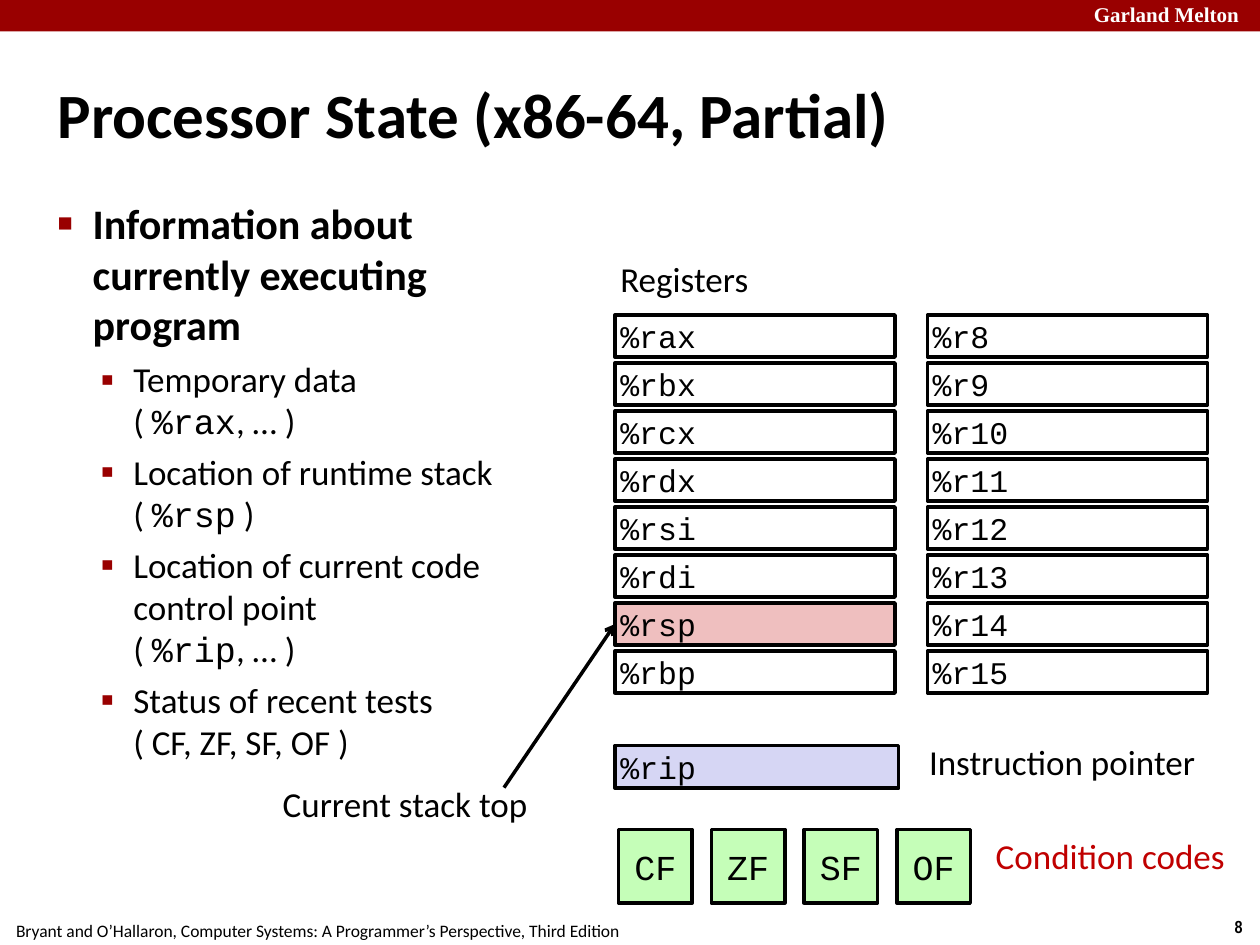
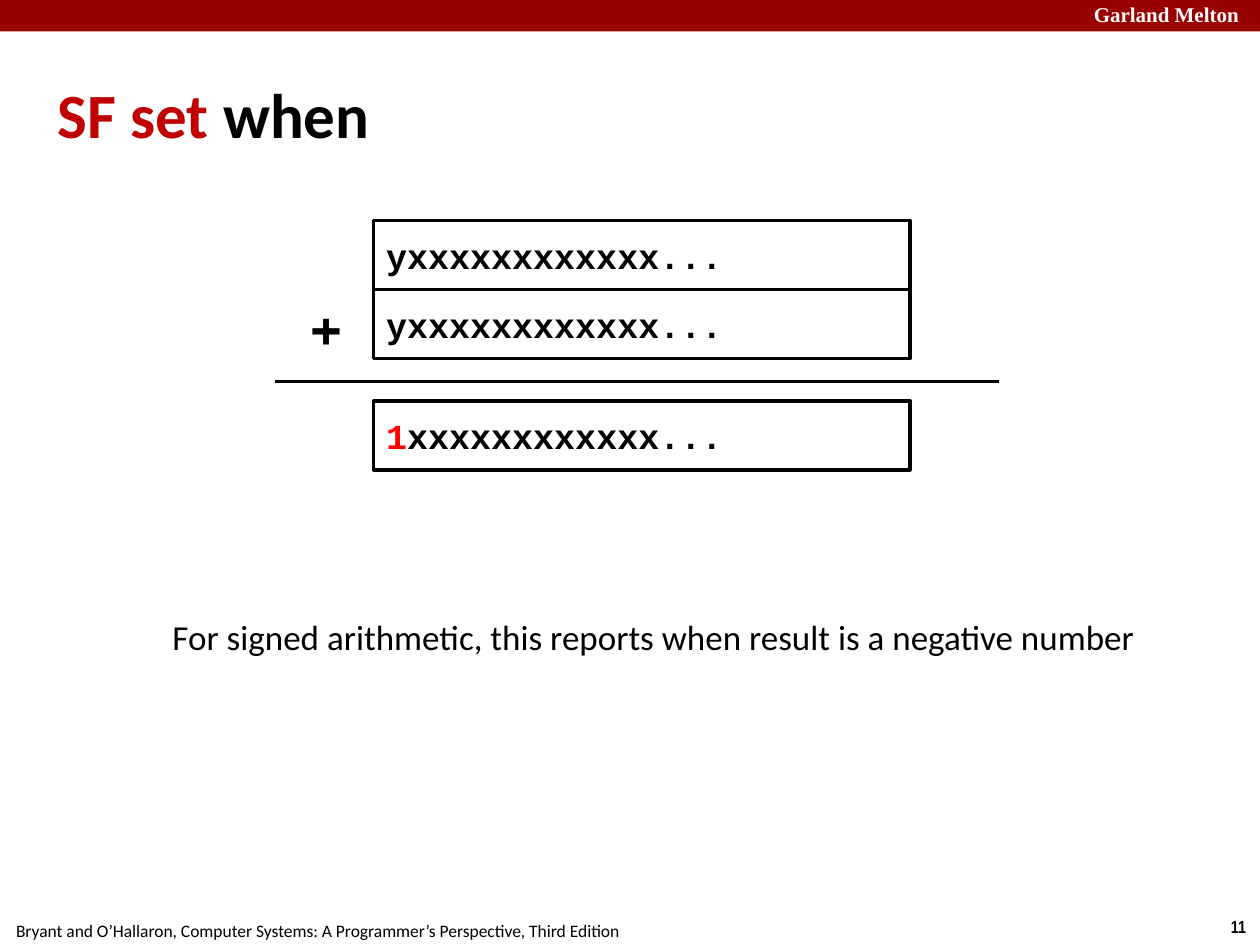
from lxml import etree
from pptx import Presentation
from pptx.dml.color import RGBColor
from pptx.enum.shapes import MSO_CONNECTOR, MSO_SHAPE
from pptx.enum.text import MSO_ANCHOR, PP_ALIGN
from pptx.oxml.ns import qn
from pptx.util import Pt

LEFT, CENTER = PP_ALIGN.LEFT, PP_ALIGN.CENTER
TOP, MIDDLE = MSO_ANCHOR.TOP, MSO_ANCHOR.MIDDLE
RECT, STRAIGHT = MSO_SHAPE.RECTANGLE, MSO_CONNECTOR.STRAIGHT

BLACK, WHITE, BRAND = "000000", "FFFFFF", "990000"
ACCENT, RED = "C00000", "FF0000"
PINK, LILAC, GREEN = "EFBFBF", "D6D6F4", "C5FEB8"
SANS, MONO, SERIF, NARROW = "Calibri", "Courier New", "Times New Roman", "Arial Narrow"
SNUG, ROOMY = (3, 3), (7.2, 3.6)
CREDIT = "Bryant and O’Hallaron, Computer Systems: A Programmer’s Perspective, Third Edition"


def rgb(color):
    return RGBColor.from_string(color)


def style(para, size, font=SANS, color=BLACK, bold=False, align=LEFT):
    para.alignment = align
    face = para.font
    face.size, face.name, face.bold = Pt(size), font, bold
    face.color.rgb = rgb(color)


def setup(frame, pad=SNUG, anchor=TOP, wrap=True):
    frame.margin_left = frame.margin_right = Pt(pad[0])
    frame.margin_top = frame.margin_bottom = Pt(pad[1])
    frame.vertical_anchor, frame.word_wrap = anchor, wrap


def tint(para, parts):
    for text, color in parts:
        run = para.add_run()
        run.text = text
        run.font.color.rgb = rgb(color)


def label(slide, box, text, size=20, pad=SNUG, wrap=False, **look):
    frame = slide.shapes.add_textbox(*map(Pt, box)).text_frame
    setup(frame, pad, wrap=wrap)
    frame.text = text
    style(frame.paragraphs[0], size, **look)


def block(slide, box, fill=None, line=BLACK):
    shape = slide.shapes.add_shape(RECT, *map(Pt, box))
    shape.shadow.inherit = False
    if fill:
        shape.fill.solid()
        shape.fill.fore_color.rgb = rgb(fill)
    else:
        shape.fill.background()
    if line:
        shape.line.color.rgb = rgb(line)
        shape.line.width = Pt(2)
    else:
        shape.line.fill.background()
    return shape


def cell(slide, box, parts, size=18, fill=None, pad=SNUG, **look):
    frame = block(slide, box, fill).text_frame
    setup(frame, pad, MIDDLE)
    para = frame.paragraphs[0]
    style(para, size, MONO, **look)
    tint(para, parts)


def link(slide, start, end, arrow=False):
    line = slide.shapes.add_connector(STRAIGHT, *map(Pt, start + end))
    line.line.color.rgb = rgb(BLACK)
    line.line.width = Pt(2)
    if arrow:
        etree.SubElement(line.line._get_or_add_ln(), qn("a:tailEnd"), type="arrow")
    etree.SubElement(line._element.spPr, qn("a:effectLst"))


def bullet(para, mark, scale, left, hang):
    props = para._p.get_or_add_pPr()
    props.set("marL", str(Pt(left)))
    props.set("indent", str(Pt(-hang)))
    color = etree.SubElement(props, qn("a:buClr"))
    etree.SubElement(color, qn("a:srgbClr"), val=BRAND)
    etree.SubElement(props, qn("a:buSzPct"), val=str(scale * 1000))
    etree.SubElement(props, qn("a:buFont"), typeface="Arial")
    etree.SubElement(props, qn("a:buChar"), char=mark)


def base(deck, number, title):
    slide = deck.slides.add_slide(deck.slide_layouts[5])
    block(slide, (0, 0, 720, 18), BRAND, None)
    label(slide, (622, -2, 104, 20), "Garland Melton", 12, wrap=True,
          font=SERIF, color=WHITE, bold=True)
    label(slide, (-1.5, 522, 366, 19), CREDIT, 10, ROOMY, align=CENTER)
    label(slide, (695.5, 520, 24.5, 19), number, 10, ROOMY,
          font=NARROW, bold=True, align=CENTER)
    head = slide.shapes.title
    head.left, head.top, head.width, head.height = map(Pt, (30, 20, 660, 90))
    setup(head.text_frame, SNUG, MIDDLE)
    para = head.text_frame.paragraphs[0]
    style(para, 36, bold=True)
    tint(para, title)
    return slide


def outline(slide, box, lead, items):
    frame = slide.shapes.add_textbox(*map(Pt, box)).text_frame
    setup(frame)
    para = frame.paragraphs[0]
    para.text = lead
    bullet(para, "■", 60, 20, 20)
    para.space_before = Pt(6)
    style(para, 24, bold=True)
    for text, code, end in items:
        para = frame.add_paragraph()
        bullet(para, "▪", 110, 43.2, 18.7)
        para.space_before = Pt(5)
        style(para, 20)
        para.add_run().text = text
        para.add_line_break()
        para.add_run().text = "( "
        run = para.add_run()
        run.text = code
        if code.startswith("%"):
            run.font.name = MONO
        para.add_run().text = end


def bank(slide, box):
    left, top, width, height = box
    wide, tall = 160, 24
    label(slide, (left, top - 36, 81, 30), "Registers")
    cols = ("rax rbx rcx rdx rsi rdi rsp rbp".split(),
            [f"r{n}" for n in range(8, 16)])
    step = (height - tall) / 7
    for col, names in enumerate(cols):
        for row, name in enumerate(names):
            spot = (left + col * (width - wide), top + row * step, wide, tall)
            cell(slide, spot, [("%" + name, BLACK)],
                 fill=PINK if name == "rsp" else None)
    spot = top + 6 * step + tall / 2
    link(slide, (left - 63.5, spot + 93.5), (left, spot), True)
    label(slide, (left - 195, spot + 87.5, 150, 30), "Current stack top", align=CENTER)


def status(slide, box):
    left, top, width, height = box
    cell(slide, (left, top, 162, 24.5), [("%rip", BLACK)], fill=LILAC)
    label(slide, (left + 174, top - 6, 163, 30), "Instruction pointer", align=CENTER)
    side = 42
    for col, name in enumerate(("CF", "ZF", "SF", "OF")):
        cell(slide, (left + 2 + col * 53, top + height - side, side, side),
             [(name, BLACK)], 20, GREEN, align=CENTER)
    label(slide, (left + width - 142, top + height - side, 142, 35),
          "Condition codes", wrap=True, color=ACCENT)


def addition(slide, box):
    left, top, width, height = box
    tall, inset = 39.5, 56.5
    tail = "x" * 12 + "..."
    rows = ((0, "y", BLACK), (tall, "y", BLACK), (height - tall, "1", RED))
    for drop, digit, color in rows:
        cell(slide, (left + inset, top + drop, 306.5, tall),
             [(digit, color), (tail, BLACK)], 20, pad=ROOMY, bold=True)
    link(slide, (left, top + 92), (left + width, top + 92))
    label(slide, (left + 11.5, top + 30, 36, 58), "+", 42, ROOMY, True,
          font="Cabin", align=CENTER)


def main():
    deck = Presentation()
    deck.slide_width, deck.slide_height = Pt(720), Pt(540)

    slide = base(deck, "8", [("Processor State (x86-64, Partial)", BLACK)])
    outline(slide, (30, 110, 263, 428), "Information about currently executing program", (
        ("Temporary data", "%rax", ", … )"),
        ("Location of runtime stack", "%rsp", " )"),
        ("Location of current code control point", "%rip", ", … )"),
        ("Status of recent tests", "CF, ZF, SF, OF", " )")))
    bank(slide, (351.5, 180, 338.5, 216))
    status(slide, (351.5, 426, 356.5, 90))

    slide = base(deck, "11", [("SF set ", ACCENT), ("when", BLACK)])
    addition(slide, (157, 126, 414, 142.5))
    label(slide, (90.5, 348, 566, 31.5),
          "For signed arithmetic, this reports when result is a negative number",
          pad=ROOMY, align=CENTER)

    deck.save("out.pptx")


if __name__ == "__main__":
    main()
